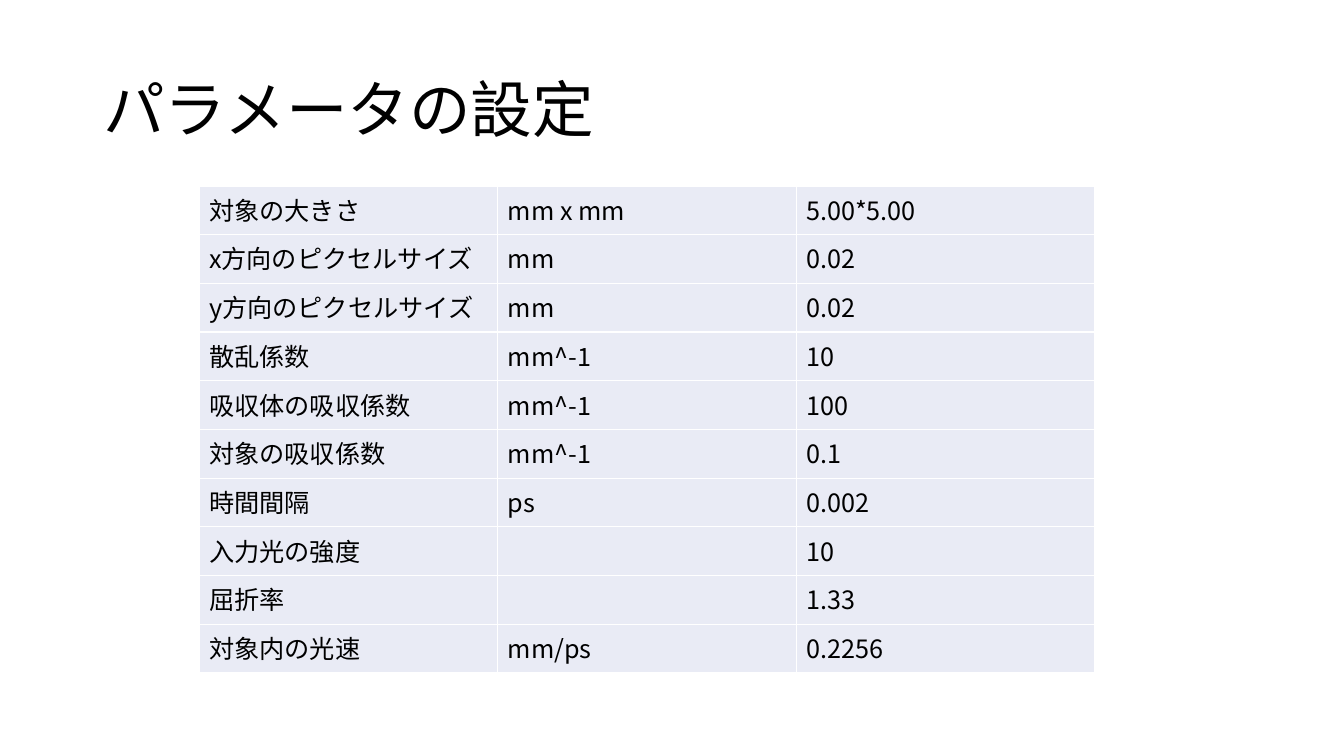
from lxml.etree import SubElement
from pptx import Presentation
from pptx.dml.color import RGBColor
from pptx.enum.text import MSO_ANCHOR, PP_ALIGN
from pptx.oxml import parse_xml
from pptx.oxml.ns import nsdecls, qn
from pptx.util import Pt

PX = 914400 / 100.8
FONT = "Noto Sans CJK JP"
COLORS = {"text": "000000", "cell": "E9EBF5", "border": "FFFFFF"}
PARAMETERS = [
    ("対象の大きさ", "mm x mm", "5.00*5.00"),
    ("x方向のピクセルサイズ", "mm", "0.02"),
    ("y方向のピクセルサイズ", "mm", "0.02"),
    ("散乱係数", "mm^-1", "10"),
    ("吸収体の吸収係数", "mm^-1", "100"),
    ("対象の吸収係数", "mm^-1", "0.1"),
    ("時間間隔", "ps", "0.002"),
    ("入力光の強度", "", "10"),
    ("屈折率", "", "1.33"),
    ("対象内の光速", "mm/ps", "0.2256"),
]


def px(*lengths):
    return [round(n * PX) for n in lengths]


def write(tf, text, size=18, spacing=1.0, anchor=MSO_ANCHOR.TOP):
    tf.word_wrap = True
    tf.vertical_anchor = anchor
    p = tf.paragraphs[0]
    p.alignment = PP_ALIGN.LEFT
    p.line_spacing = spacing
    p.font.size = Pt(size)
    if text:
        r = p.add_run()
        r.text = text
        r.font.size = Pt(size)
        r.font.name = FONT
        r.font.color.rgb = RGBColor.from_string(COLORS["text"])
        SubElement(r.font._element, qn("a:ea"), typeface=FONT)


prs = Presentation()
prs.slide_width, prs.slide_height = px(1344, 756)
s = prs.slides.add_slide(prs.slide_layouts[5])

title = s.shapes.title
title.left, title.top, title.width, title.height = px(93, 40, 1159, 146)
write(title.text_frame, "パラメータの設定", size=44, spacing=0.9, anchor=MSO_ANCHOR.MIDDLE)

rows, cols = len(PARAMETERS), len(PARAMETERS[0])
left, top, width, height = px(199, 186, 896, 487)
table = s.shapes.add_table(rows, cols, left, top, width, height).table
table.first_row = False
table.horz_banding = False
for col in table.columns:
    col.width = width // cols
for row, values in zip(table.rows, PARAMETERS):
    row.height = height // rows
    for cell, value in zip(row.cells, values):
        write(cell.text_frame, value)
        cell.fill.solid()
        cell.fill.fore_color.rgb = RGBColor.from_string(COLORS["cell"])
        tcPr = cell._tc.get_or_add_tcPr()
        for i, side in enumerate("LRTB"):
            tcPr.insert(i, parse_xml(
                f'<a:ln{side} {nsdecls("a")} w="{Pt(1)}"><a:solidFill>'
                f'<a:srgbClr val="{COLORS["border"]}"/></a:solidFill></a:ln{side}>'))

prs.save("out.pptx")
